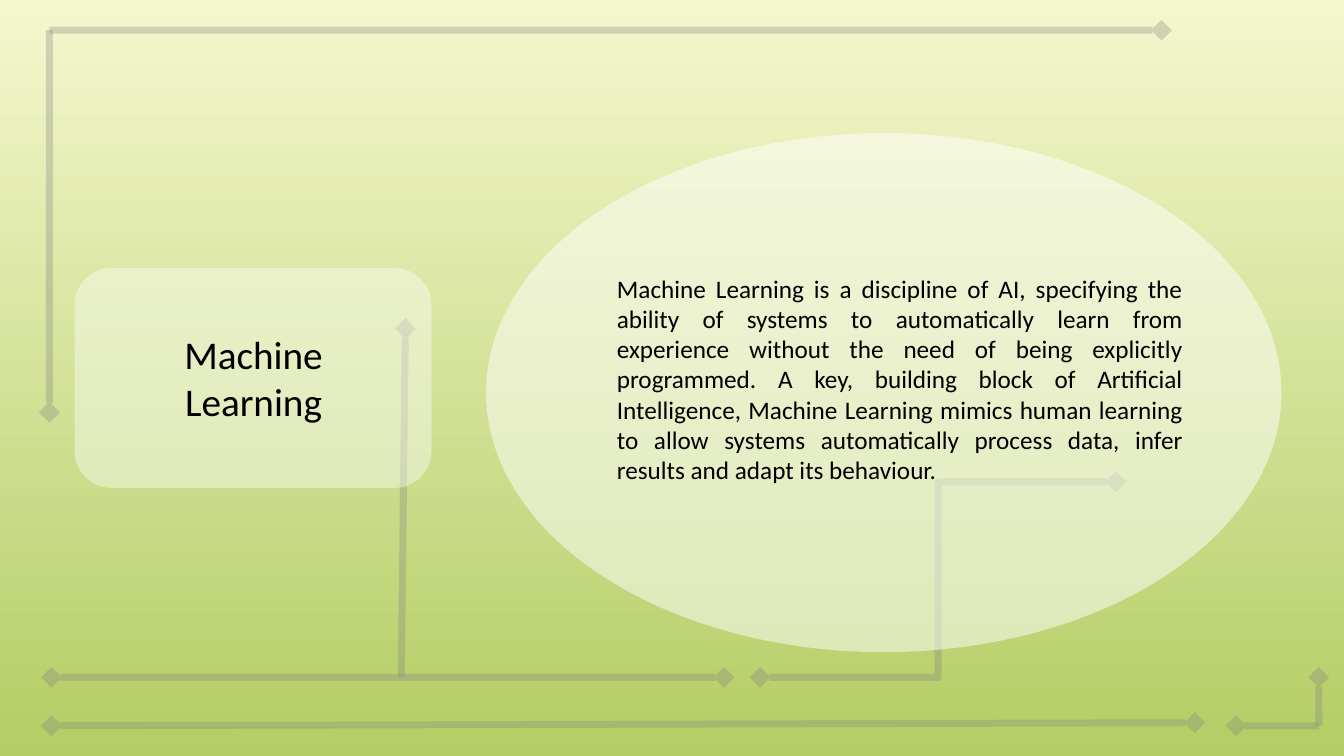
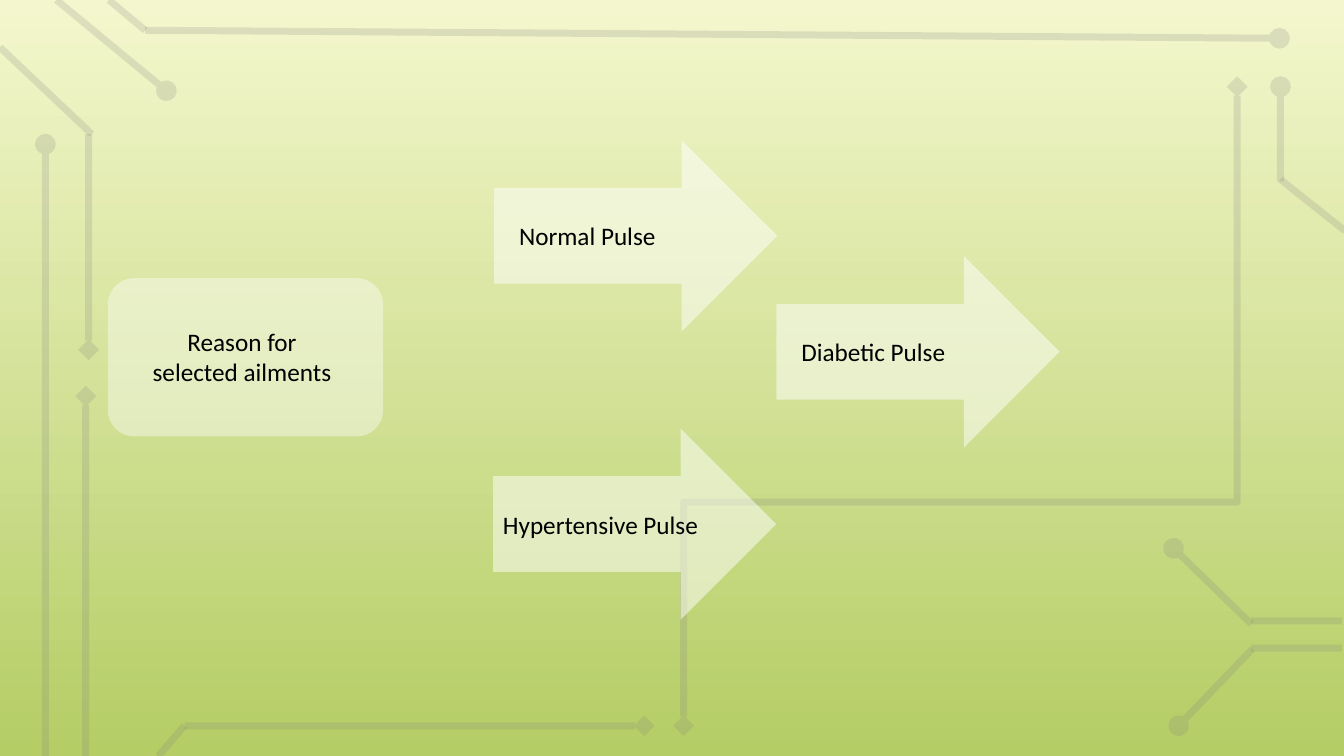
"""Build two slides on pulse analysis over a shared circuit-line backdrop."""
from dataclasses import dataclass

from lxml import etree
from pptx import Presentation
from pptx.dml.color import RGBColor
from pptx.enum.shapes import MSO_CONNECTOR, MSO_SHAPE
from pptx.enum.text import MSO_AUTO_SIZE, PP_ALIGN
from pptx.oxml.ns import qn
from pptx.presentation import Presentation as Deck
from pptx.slide import Slide
from pptx.util import Emu, Pt

PX = 9144
SLIDE_W, SLIDE_H = 1333, 750
COLORS = {
    "sky": "F4F7CD",
    "grass": "B4CD65",
    "circuit": "808080",
    "panel": "FFFFFF",
    "ink": "000000",
}
STRAIGHT, ELBOW = MSO_CONNECTOR.STRAIGHT, MSO_CONNECTOR.ELBOW
OVAL, ROUNDED, ARROW = MSO_SHAPE.OVAL, MSO_SHAPE.ROUNDED_RECTANGLE, MSO_SHAPE.RIGHT_ARROW
LEFT, CENTER, JUSTIFY = PP_ALIGN.LEFT, PP_ALIGN.CENTER, PP_ALIGN.JUSTIFY
FIT_SHAPE = MSO_AUTO_SIZE.SHAPE_TO_FIT_TEXT
DIAMOND, DOT = "diamond", "oval"
TRACE_WIDTH = Pt(5)
QUARTER_TURN = 5400000
ARROW_W, ARROW_H = 281, 190
LABEL_DX, LABEL_DY = 15, 75


@dataclass(frozen=True)
class Trace:
    """A circuit line with optional end marks; a bend is a share of its length."""

    x1: int
    y1: int
    x2: int
    y2: int
    tail: str = ""
    head: str = ""
    elbow: bool = False
    vertical_bend: float = 0


@dataclass(frozen=True)
class Panel:
    """A translucent white shape."""

    preset: MSO_SHAPE
    x: int
    y: int
    w: int
    h: int
    opacity: int


@dataclass(frozen=True)
class Label:
    """A block of text."""

    text: str
    x: int
    y: int
    w: int
    h: int
    align: PP_ALIGN = LEFT
    size: int = 18
    wrap: bool = True


@dataclass(frozen=True)
class Page:
    """The content of one slide."""

    trace_opacity: int
    traces: list[Trace]
    panels: list[Panel]
    labels: list[Label]


@dataclass(frozen=True)
class Pulse:
    """A block arrow and its caption."""

    text: str
    x: int
    y: int
    dx: int = LABEL_DX
    w: int = 173
    wrap: bool = True


DEFINITION = (
    "Machine Learning is a discipline of AI, specifying the ability of systems to "
    "automatically learn from experience without the need of being explicitly programmed. "
    "A key, building block of Artificial Intelligence, Machine Learning mimics human "
    "learning to allow systems automatically process data, infer results and adapt its "
    "behaviour."
)

LEARNING = Page(
    30,
    [
        Trace(1185, 717, 51, 720, DIAMOND, DIAMOND),
        Trace(1308, 720, 1308, 672, DIAMOND),
        Trace(1308, 720, 1226, 720, DIAMOND),
        Trace(49, 30, 49, 409, DIAMOND),
        Trace(49, 30, 1152, 30, DIAMOND),
        Trace(1107, 478, 754, 672, DIAMOND, DIAMOND, elbow=True),
        Trace(718, 672, 51, 672, DIAMOND, DIAMOND),
        Trace(398, 672, 402, 326, DIAMOND),
    ],
    [Panel(OVAL, 482, 132, 789, 515, 50), Panel(ROUNDED, 74, 266, 354, 218, 40)],
    [
        Label("Machine Learning", 110, 323, 283, 104, CENTER, 28),
        Label(DEFINITION, 602, 266, 581, 222, JUSTIFY),
    ],
)

PULSES = [
    Pulse("Normal Pulse", 490, 139),
    Pulse("Hypertensive Pulse", 489, 425, dx=0, w=216, wrap=False),
    Pulse("Diabetic Pulse", 770, 254),
]

AILMENTS = Page(
    20,
    [
        Trace(1227, 86, 678, 720, DIAMOND, DIAMOND, elbow=True, vertical_bend=0.65),
        Trace(85, 750, 85, 393, DIAMOND),
        Trace(88, 133, 88, 347, DIAMOND),
        Trace(0, 47, 91, 133),
        Trace(45, 750, 45, 143, DOT),
        Trace(108, 0, 144, 30),
        Trace(144, 30, 1269, 38, DOT),
        Trace(56, 0, 165, 90, DOT),
        Trace(1241, 619, 1164, 544, DOT),
        Trace(1241, 616, 1331, 616),
        Trace(1241, 643, 1331, 643),
        Trace(1242, 644, 1169, 720, DOT),
        Trace(183, 720, 639, 720, DIAMOND),
        Trace(1270, 180, 1270, 86, DOT),
        Trace(1270, 178, 1334, 229),
        Trace(157, 750, 183, 720),
    ],
    [Panel(ARROW, p.x, p.y, ARROW_W, ARROW_H, 50) for p in PULSES]
    + [Panel(ROUNDED, 107, 276, 273, 157, 40)],
    [Label(p.text, p.x + p.dx, p.y + LABEL_DY, p.w, 40, wrap=p.wrap) for p in PULSES]
    + [Label("Reason for selected ailments", 131, 319, 218, 71, CENTER)],
)


def px(*lengths: float) -> list[Emu]:
    """Turn pixel lengths into EMU."""
    return [Emu(round(length * PX)) for length in lengths]


def color(name: str) -> RGBColor:
    """Look up a palette colour."""
    return RGBColor.from_string(COLORS[name])


def apply(target: object, formats: dict[str, object]) -> None:
    """Set each named format value on the target."""
    for name, value in formats.items():
        setattr(target, name, value)


def set_opacity(properties: etree._Element, percent: int) -> None:
    """Make the colours inside the shape properties translucent."""
    for node in properties.iter(qn("a:srgbClr")):
        etree.SubElement(node, qn("a:alpha"), val=str(percent * 1000))


def draw_trace(slide: Slide, trace: Trace, opacity: int) -> None:
    """Draw one circuit line."""
    ends = (trace.x1, trace.y1, trace.x2, trace.y2)
    if trace.vertical_bend:
        mid_x, mid_y = (trace.x1 + trace.x2) / 2, (trace.y1 + trace.y2) / 2
        half_w, half_h = abs(trace.y2 - trace.y1) / 2, abs(trace.x2 - trace.x1) / 2
        ends = (mid_x - half_w, mid_y - half_h, mid_x + half_w, mid_y + half_h)
    connector = slide.shapes.add_connector(ELBOW if trace.elbow else STRAIGHT, *px(*ends))
    apply(connector.line, {"width": TRACE_WIDTH})
    connector.line.color.rgb = color("circuit")
    properties = connector._element.spPr
    set_opacity(properties, opacity)
    if trace.vertical_bend:
        properties.find(qn("a:xfrm")).set("rot", str(QUARTER_TURN))
        adjustments = properties.find(qn("a:prstGeom")).find(qn("a:avLst"))
        bend = round(trace.vertical_bend * 100000)
        etree.SubElement(adjustments, qn("a:gd"), name="adj1", fmla=f"val {bend}")
    outline = properties.find(qn("a:ln"))
    for tag, mark in (("a:headEnd", trace.head), ("a:tailEnd", trace.tail)):
        if mark:
            etree.SubElement(outline, qn(tag), type=mark)
    etree.SubElement(properties, qn("a:effectLst"))


def draw_panel(slide: Slide, panel: Panel) -> None:
    """Draw one translucent shape."""
    shape = slide.shapes.add_shape(panel.preset, *px(panel.x, panel.y, panel.w, panel.h))
    shape.shadow.inherit = False
    shape.fill.solid()
    shape.fill.fore_color.rgb = color("panel")
    shape.line.fill.background()
    set_opacity(shape._element.spPr, panel.opacity)


def draw_label(slide: Slide, label: Label) -> None:
    """Write one block of text."""
    box = slide.shapes.add_textbox(*px(label.x, label.y, label.w, label.h))
    apply(box.text_frame, {"word_wrap": label.wrap, "auto_size": FIT_SHAPE})
    paragraph = box.text_frame.paragraphs[0]
    paragraph.alignment = label.align
    run = paragraph.add_run()
    run.text = label.text
    apply(run.font, {"name": "Calibri", "size": Pt(label.size)})
    run.font.color.rgb = color("ink")


def paint_backdrop(deck: Deck) -> None:
    """Give the slide master its vertical gradient."""
    fill = deck.slide_master.background.fill
    fill.gradient()
    fill.gradient_angle = 270
    for stop, name, position in zip(fill.gradient_stops, ("sky", "grass"), (0, 1)):
        stop.color.rgb = color(name)
        stop.position = position


def draw_page(deck: Deck, page: Page) -> None:
    """Add one slide with its lines, shapes and text."""
    slide = deck.slides.add_slide(deck.slide_layouts[6])
    for trace in page.traces:
        draw_trace(slide, trace, page.trace_opacity)
    for panel in page.panels:
        draw_panel(slide, panel)
    for label in page.labels:
        draw_label(slide, label)


def main() -> None:
    """Build and save the deck."""
    deck = Presentation()
    deck.slide_width, deck.slide_height = px(SLIDE_W, SLIDE_H)
    paint_backdrop(deck)
    for page in (LEARNING, AILMENTS):
        draw_page(deck, page)
    deck.save("out.pptx")


if __name__ == "__main__":
    main()
